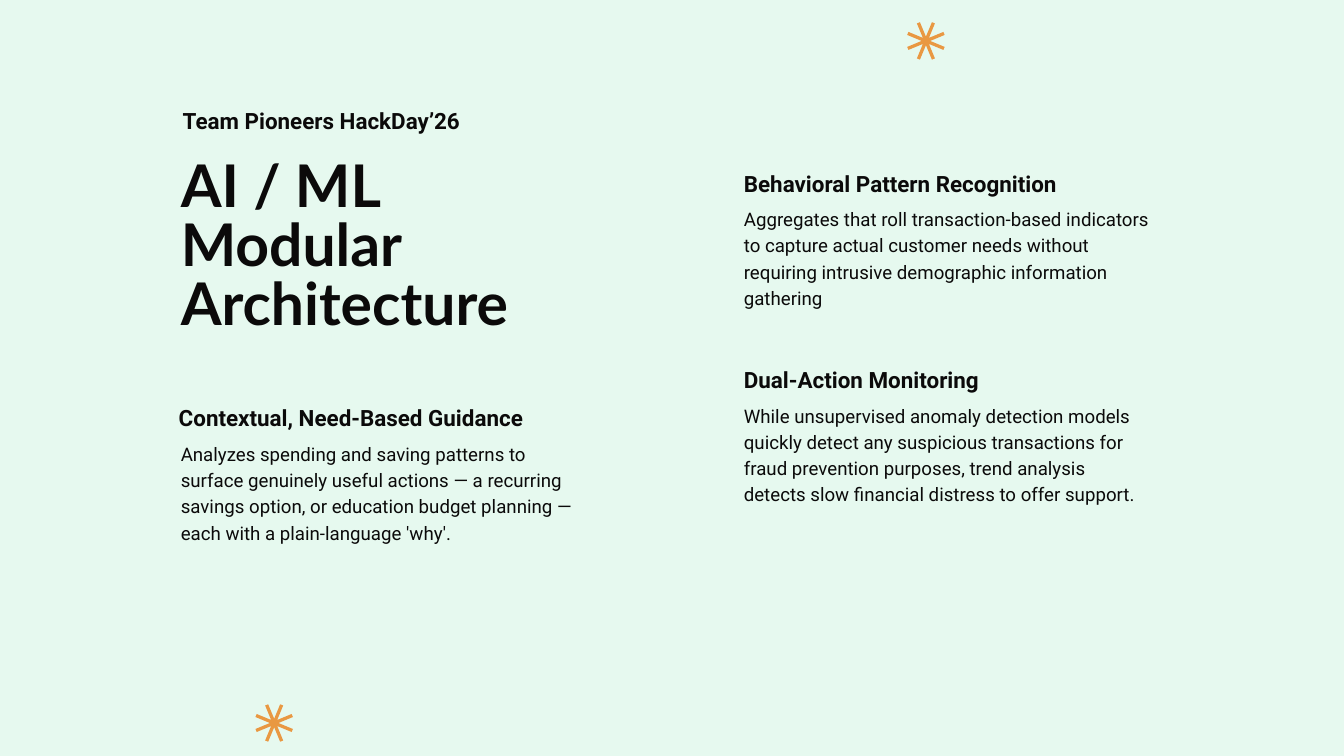
from dataclasses import dataclass
from math import cos, pi, sin

from pptx import Presentation
from pptx.dml.color import RGBColor
from pptx.enum.text import MSO_ANCHOR, MSO_AUTO_SIZE, PP_ALIGN
from pptx.util import Pt

TOP = MSO_ANCHOR.TOP
NO_FIT = MSO_AUTO_SIZE.NONE
LEFT = PP_ALIGN.LEFT
TITLE_ONLY = 5


@dataclass(frozen=True)
class TextStyle:
    font: str
    size: float
    line: float
    bold: bool


@dataclass(frozen=True)
class Theme:
    background: RGBColor = RGBColor.from_string("E6F9EF")
    ink: RGBColor = RGBColor.from_string("0B0A0A")
    star: RGBColor = RGBColor.from_string("E99842")
    title: TextStyle = TextStyle("Lato", 63, 63, True)
    heading: TextStyle = TextStyle("Roboto", 24, 33.6, True)
    body: TextStyle = TextStyle("Roboto", 20, 28, False)


THEME = Theme()

TOPICS = [
    (797, 797, 177, "Behavioral Pattern Recognition",
     "Aggregates that roll transaction-based indicators to capture actual customer needs "
     "without requiring intrusive demographic information gathering"),
    (797, 797, 387.4, "Dual-Action Monitoring",
     "While unsupervised anomaly detection models quickly detect any suspicious transactions "
     "for fraud prevention purposes, trend analysis detects slow financial distress to offer support."),
    (191.5, 193.7, 428.6, "Contextual, Need-Based Guidance",
     "Analyzes spending and saving patterns to surface genuinely useful actions — a recurring "
     "savings option, or education budget planning — each with a plain-language 'why'."),
]
STAR_CENTRES = [(992.1, 43.9), (293.8, 774.7)]


def write_text(box, text, style):
    frame = box.text_frame
    frame.word_wrap = True
    frame.auto_size = NO_FIT
    frame.vertical_anchor = TOP
    frame.margin_left = frame.margin_right = frame.margin_top = frame.margin_bottom = 0
    para = frame.paragraphs[0]
    para.alignment = LEFT
    para.line_spacing = Pt(style.line)
    para.space_before = Pt(0)
    span = para.add_run()
    span.text = text
    span.font.name = style.font
    span.font.size = Pt(style.size)
    span.font.bold = style.bold
    span.font.color.rgb = THEME.ink


def add_text(page, left, top, width, height, text, style):
    box = page.shapes.add_textbox(Pt(left), Pt(top), Pt(width), Pt(height))
    write_text(box, text, style)


def set_title(page, left, top, width, height, text):
    title = page.shapes.title
    title.left, title.top, title.width, title.height = Pt(left), Pt(top), Pt(width), Pt(height)
    write_text(title, text, THEME.title)


def add_topic(page, heading_left, body_left, top, heading, body):
    add_text(page, heading_left, top, 435, 32, heading, THEME.heading)
    add_text(page, body_left, top + 42, 435, 112, body, THEME.body)


def add_star(page, centre_x, centre_y, arms=8, reach=21, half_width=1.76):
    step = 2 * pi / arms
    notch = half_width / sin(step / 2)
    points = []
    for arm in range(arms):
        angle = (arm + 0.5) * step
        along_x, along_y = cos(angle), sin(angle)
        for side in (-half_width, half_width):
            points.append((reach * along_x - side * along_y, reach * along_y + side * along_x))
        points.append((notch * cos(angle + step / 2), notch * sin(angle + step / 2)))
    corners = [(Pt(centre_x + x), Pt(centre_y + y)) for x, y in points]
    builder = page.shapes.build_freeform(*corners[0])
    builder.add_line_segments(corners[1:], close=True)
    star = builder.convert_to_shape()
    star.fill.solid()
    star.fill.fore_color.rgb = THEME.star
    star.line.fill.background()
    star.shadow.inherit = False


def main():
    deck = Presentation()
    deck.slide_width, deck.slide_height = Pt(1440), Pt(810)
    page = deck.slides.add_slide(deck.slide_layouts[TITLE_ONLY])
    page.background.fill.solid()
    page.background.fill.fore_color.rgb = THEME.background

    add_text(page, 195.8, 110.2, 374, 32, "Team Pioneers HackDay’26", THEME.heading)
    set_title(page, 193.7, 172, 460.8, 191.5, "AI / ML Modular Architecture")
    for topic in TOPICS:
        add_topic(page, *topic)
    for centre in STAR_CENTRES:
        add_star(page, *centre)

    deck.save("out.pptx")


if __name__ == "__main__":
    main()
